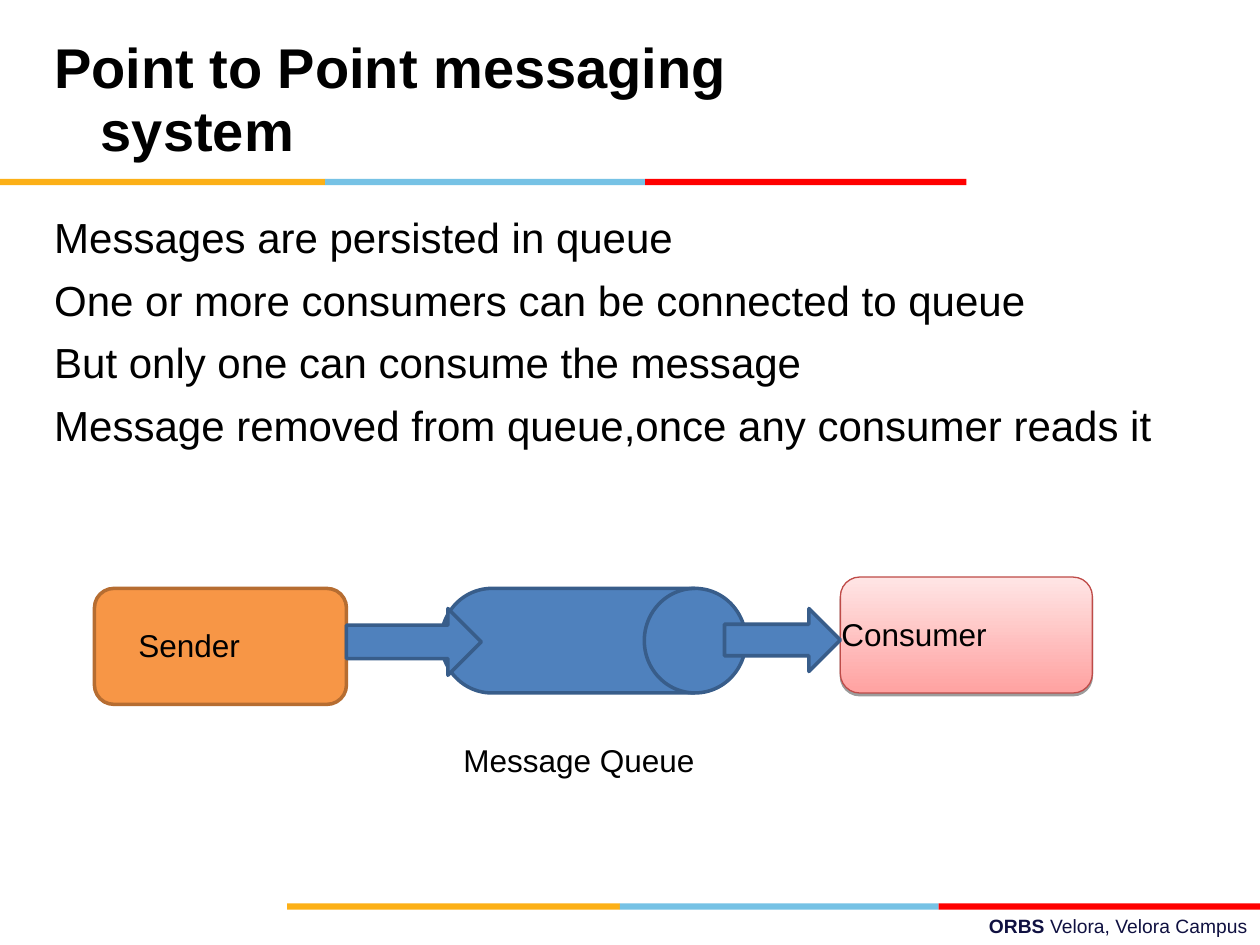
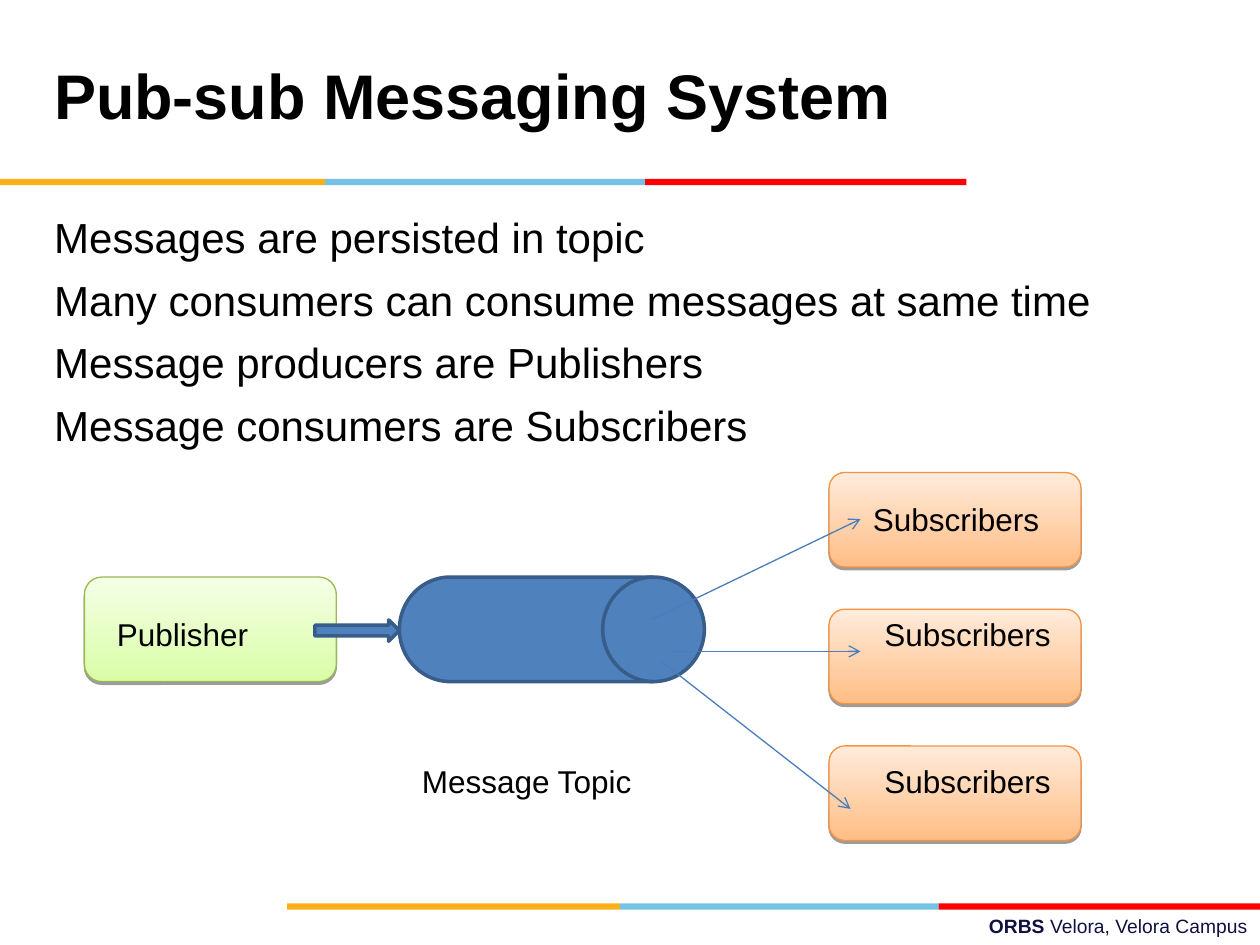
import pptx
import pptx.util
import pptx.dml.color
import pptx.enum.shapes
import pptx.enum.text
import pptx.oxml.ns
import lxml.etree

Inches, Pt = pptx.util.Inches, pptx.util.Pt
RGB = pptx.dml.color.RGBColor
KIND = pptx.enum.shapes.MSO_SHAPE
ALIGN = pptx.enum.text.PP_ALIGN
qn = pptx.oxml.ns.qn

FONT = "Arial"
BLACK = RGB(0x00, 0x00, 0x00)
NAVY = RGB(0x10, 0x11, 0x41)
GOLD = RGB(0xFC, 0xB0, 0x17)
SKY = RGB(0x76, 0xC2, 0xE5)
RED = RGB(0xFF, 0x00, 0x00)
BLUE = RGB(0x4F, 0x81, 0xBD)
DARK = RGB(0x38, 0x5D, 0x8A)
LINK = RGB(0x4A, 0x7E, 0xBB)

# Box looks: (bottom colour, top colour or None for a flat fill, line colour)
ORANGE = (RGB(0xF7, 0x96, 0x46), None, RGB(0xB6, 0x6D, 0x31))
PINK = (RGB(0xFF, 0xA2, 0xA1), RGB(0xFF, 0xE5, 0xE5), RGB(0xBE, 0x4B, 0x48))
GREEN = (RGB(0xDA, 0xFD, 0xA7), RGB(0xF5, 0xFF, 0xE6), RGB(0x98, 0xB9, 0x54))
PEACH = (RGB(0xFF, 0xBE, 0x86), RGB(0xFF, 0xEB, 0xDB), RGB(0xF6, 0x92, 0x40))
STEEL = (BLUE, None, DARK)

# Shared bands: top, edges from left to right
BANDS = [(1.42, (0, 2.58, 5.12, 7.67)), (7.17, (2.28, 4.92, 7.45, 10))]
FOOT = [("ORBS ", True), ("Velora, Velora Campus", False)]

# Places are left, top, width, height; lines are x1, y1, x2, y2
SUB_X, SUB_TOP, SUB_STEP = 6.58, 3.75, 1.085
SUBS = [(SUB_X, SUB_TOP + i * SUB_STEP, 2, 0.75) for i in range(3)]

SLIDES = [
    {
        "title": ("Point to Point messaging system", 32),
        "list": [
            "Messages are persisted in queue",
            "One or more consumers can be connected to queue",
            "But only one can consume the message",
            "Message removed from queue,once any consumer reads it",
        ],
        "drum": (3.5, 4.67, 2.42, 0.83),
        "boxes": [((0.75, 4.67, 2, 0.92), ORANGE),
                  ((6.67, 4.58, 2, 0.92), PINK)],
        "arrows": [(2.75, 4.83, 1.07, 0.53), (5.75, 4.83, 0.92, 0.5)],
        "links": [],
        "labels": [("Sender", 1, 4.92, 1.42),
                   ("Consumer", 6.58, 4.83, 1.5),
                   ("Message Queue", 3.58, 5.83, 2.17)],
    },
    {
        "title": ("Pub-sub Messaging System", 36),
        "list": [
            "Messages are persisted in topic",
            "Many consumers can consume messages at same time",
            "Message producers are Publishers",
            "Message consumers are Subscribers",
        ],
        "drum": (3.17, 4.58, 2.42, 0.83),
        "boxes": [((0.67, 4.58, 2, 0.83), GREEN)]
                 + [(place, PEACH) for place in SUBS],
        "arrows": [(2.5, 4.92, 0.67, 0.17)],
        "links": [(5.17, 4.92, 6.83, 4.12),
                  (5.33, 5.17, 6.83, 5.17),
                  (5.25, 5.25, 6.75, 6.42)],
        "labels": [("Publisher", 0.83, 4.83, 1.58),
                   ("Subscribers", 6.83, 3.92, 1.58),
                   ("Subscribers", 6.92, 4.83, 1.58),
                   ("Subscribers", 6.92, 6, 1.58),
                   ("Message Topic", 3.25, 6, 2.33)],
    },
]


def inch(nums):
    return [Inches(n) for n in nums]


def write(para, text, size, color=BLACK, bold=False):
    run = para.add_run()
    run.text = text
    font = run.font
    font.name, font.size, font.bold = FONT, Pt(size), bold
    font.color.rgb = color


def hang(para, size):
    """Hanging indent without a bullet."""
    props = para._p.get_or_add_pPr()
    props.set("marL", str(Inches(size)))
    props.set("indent", str(-Inches(size)))
    lxml.etree.SubElement(props, qn("a:buNone"))
    para.alignment = ALIGN.LEFT


def setup(holder, place):
    """Move a placeholder and return its text frame."""
    holder.left, holder.top, holder.width, holder.height = inch(place)
    frame = holder.text_frame
    frame.auto_size = pptx.enum.text.MSO_AUTO_SIZE.NONE
    return frame


def shade(shape):
    """Give a shape a small hard shadow below it."""
    effect = shape._element.spPr.find(qn("a:effectLst"))
    outer = lxml.etree.SubElement(effect, qn("a:outerShdw"), blurRad="0",
                                  dist=str(Pt(1.6)), dir="5400000",
                                  rotWithShape="0")
    color = lxml.etree.SubElement(outer, qn("a:srgbClr"), val="000000")
    lxml.etree.SubElement(color, qn("a:alpha"), val="38000")


def draw(slide, kind, place, look):
    low, high, edge = look
    shape = slide.shapes.add_shape(kind, *inch(place))
    shape.shadow.inherit = False
    if high is None:
        shape.fill.solid()
        shape.fill.fore_color.rgb = low
    else:
        shape.fill.gradient()
        shape.fill.gradient_angle = 90
        for stop, color, pos in zip(shape.fill.gradient_stops,
                                    (low, high), (0, 1)):
            stop.color.rgb, stop.position = color, pos
        shade(shape)
    if edge is None:
        shape.line.fill.background()
    else:
        shape.line.color.rgb = edge
        shape.line.width = Pt(2 if high is None else 0.75)


def link(slide, ends):
    line = slide.shapes.add_connector(
        pptx.enum.shapes.MSO_CONNECTOR.STRAIGHT, *inch(ends))
    line.line.color.rgb = LINK
    line.line.width = Pt(0.75)
    props = line._element.spPr
    lxml.etree.SubElement(props.find(qn("a:ln")), qn("a:tailEnd"), type="arrow")
    lxml.etree.SubElement(props, qn("a:effectLst"))


def label(slide, place):
    """Add a wrapping text box and return its first paragraph."""
    frame = slide.shapes.add_textbox(*inch(place)).text_frame
    frame.word_wrap = True
    return frame.paragraphs[0]


def frame_page(slide):
    """Colour bands and footer, the same on every slide."""
    for top, edges in BANDS:
        for left, right, color in zip(edges, edges[1:], (GOLD, SKY, RED)):
            draw(slide, KIND.RECTANGLE, (left, top, right - left, 0.05),
                 (color, None, None))
    para = label(slide, (3.58, 7.21, 6.42, 0.29))
    para.alignment = ALIGN.RIGHT
    for text, bold in FOOT:
        write(para, text, 11, NAVY, bold)


def build(deck, data):
    slide = deck.slides.add_slide(deck.slide_layouts[1])
    frame_page(slide)

    # Title
    text, size = data["title"]
    frame = setup(slide.shapes.title, (0.33, 0.17, 6.92, 1.25))
    frame.vertical_anchor = pptx.enum.text.MSO_ANCHOR.MIDDLE
    para = frame.paragraphs[0]
    hang(para, 0.37)
    para.line_spacing = Pt(36)
    write(para, text, size, bold=True)

    # List
    frame = setup(slide.placeholders[1], (0.33, 1.63, 9, 2.25))
    for i, text in enumerate(data["list"]):
        para = frame.add_paragraph() if i else frame.paragraphs[0]
        hang(para, 0.38)
        para.space_before = Pt(7)
        write(para, text, 24)

    # Diagram
    draw(slide, KIND.FLOWCHART_DIRECT_ACCESS_STORAGE, data["drum"], STEEL)
    for place, look in data["boxes"]:
        draw(slide, KIND.ROUNDED_RECTANGLE, place, look)
    for place in data["arrows"]:
        draw(slide, KIND.RIGHT_ARROW, place, STEEL)
    for ends in data["links"]:
        link(slide, ends)
    for text, left, top, width in data["labels"]:
        write(label(slide, (left, top, width, 0.4)), text, 18)


def main():
    deck = pptx.Presentation()
    deck.slide_width, deck.slide_height = Inches(10), Inches(7.5)
    for data in SLIDES:
        build(deck, data)
    deck.save("out.pptx")


if __name__ == "__main__":
    main()
